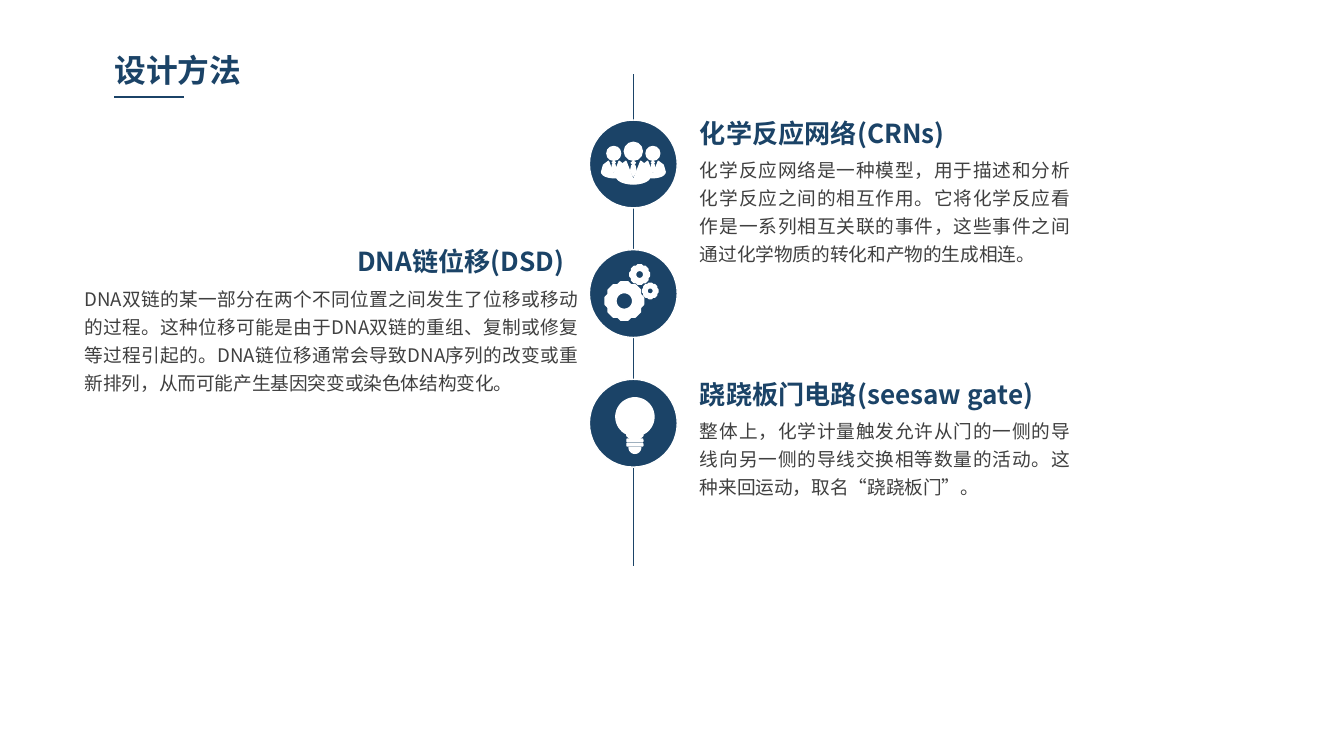
"""Build the design methods slide: three topics along a vertical axis with icons."""
from math import cos, pi, sin

from lxml import etree
from pptx import Presentation
from pptx.dml.color import RGBColor
from pptx.enum.shapes import MSO_CONNECTOR, MSO_SHAPE
from pptx.enum.text import MSO_AUTO_SIZE, PP_ALIGN
from pptx.oxml.ns import qn
from pptx.util import Cm, Pt

STRAIGHT = MSO_CONNECTOR.STRAIGHT
OVAL = MSO_SHAPE.OVAL
ROUNDED = MSO_SHAPE.ROUNDED_RECTANGLE
LEFT, RIGHT, JUSTIFY = PP_ALIGN.LEFT, PP_ALIGN.RIGHT, PP_ALIGN.JUSTIFY
FIT = MSO_AUTO_SIZE.SHAPE_TO_FIT_TEXT
FONT = "Noto Sans CJK SC"
COLORS = {"navy": "1B4367", "white": "FFFFFF", "body": "404040"}

prs = Presentation()
prs.slide_width, prs.slide_height = Cm(25.4), Cm(14.29)
slide = prs.slides.add_slide(prs.slide_layouts[6])
shapes = slide.shapes


def paint(shape, fill="white", line_width=0.75):
    """Fill a shape and give it a white edge."""
    shape.shadow.inherit = False
    shape.fill.solid()
    shape.fill.fore_color.rgb = RGBColor.from_string(COLORS[fill])
    shape.line.color.rgb = RGBColor.from_string(COLORS["white"])
    shape.line.width = Pt(line_width)


def draw_outline(x, y, contours, line_width=0.75):
    """Draw closed contours, given in cm around the point x, y."""
    builder = None
    for contour in contours:
        points = [(Cm(x + dx), Cm(y + dy)) for dx, dy in contour]
        if builder is None:
            builder = shapes.build_freeform(*points[0], scale=1.0)
        else:
            builder.move_to(*points[0])
        builder.add_line_segments(points[1:], close=True)
    paint(builder.convert_to_shape(), line_width=line_width)


axis_x = 11.97
rules = [(axis_x, 1.4, axis_x, 10.69), (2.16, 1.83, 3.48, 1.83)]
for x1, y1, x2, y2 in rules:
    rule = shapes.add_connector(STRAIGHT, Cm(x1), Cm(y1), Cm(x2), Cm(y2))
    rule.line.color.rgb = RGBColor.from_string(COLORS["navy"])
    rule.line.width = Pt(0.75)
    etree.SubElement(rule._element.spPr, qn("a:effectLst"))

disc_size = 1.66
for row in range(3):
    disc_y = 3.1 + row * 2.45
    disc = shapes.add_shape(OVAL, Cm(axis_x - disc_size / 2), Cm(disc_y - disc_size / 2),
                            Cm(disc_size), Cm(disc_size))
    paint(disc, "navy")

hem = [(0.32 * cos(i * pi / 12), 0.28 + 0.15 * sin(i * pi / 12)) for i in range(13)]
jacket = [(0.14, 0), (0.27, 0.1), *hem, (-0.27, 0.1), (-0.14, 0), (0, 0.36)]
knot = [(0, 0), (0.04, 0.03), (0, 0.05), (-0.04, 0.03)]
tie = [(0.03, 0.08), (0, 0.05), (-0.03, 0.08), (-0.05, 0.18), (0, 0.28), (0.05, 0.18)]
people = [(0, 1, 2.86, 0.34), (-0.37, 0.72, 2.9, 0.26), (0.37, 0.72, 2.9, 0.26)]
for offset, size, head_y, head_size in people:
    head = shapes.add_shape(OVAL, Cm(axis_x + offset - head_size / 2),
                            Cm(head_y - head_size / 2), Cm(head_size), Cm(head_size))
    paint(head)
    for part in (jacket, knot, tie):
        draw_outline(axis_x + offset, 3.05, [[(size * dx, size * dy) for dx, dy in part]])

tooth = [(-0.32, -0.86), (-0.18, -1), (0.18, -1), (0.32, -0.86)]
turns = [i * pi / 4 for i in range(8)]
gear_rim = [(dx * cos(t) - dy * sin(t), dx * sin(t) + dy * cos(t))
            for t in turns for dx, dy in tooth]
gear_hole = [(0.45 * cos(i * pi / 16), -0.45 * sin(i * pi / 16)) for i in range(32)]
for gear_x, gear_y, radius in [(11.8, 5.69, 0.36), (12.09, 5.19, 0.18), (12.29, 5.5, 0.14)]:
    draw_outline(gear_x, gear_y, [[(radius * dx, radius * dy) for dx, dy in contour]
                                  for contour in (gear_rim, gear_hole)], 1)

bulb_x = 12.0
glass_angles = [pi * (0.64 + 1.72 * i / 40) for i in range(41)]
glass = [(0.36 * cos(a), 0.36 * sin(a)) for a in glass_angles]
neck = [(0.15, 0.36), (0.09, 0.41), (-0.09, 0.41), (-0.15, 0.36)]
draw_outline(bulb_x, 7.88, [glass + neck])
for band_y in (8.3, 8.38):
    band = shapes.add_shape(ROUNDED, Cm(bulb_x - 0.15), Cm(band_y), Cm(0.3), Cm(0.05))
    paint(band)
draw_outline(bulb_x, 8.46, [[(0.11 * cos(i * pi / 12), 0.11 * sin(i * pi / 12))
                             for i in range(13)]])

texts = [
    (1.98, 0.86, 6.27, 0.91, "设计方法", 17, LEFT),
    (12.98, 2.16, 7.09, 0.79, "化学反应网络(CRNs)", 14, LEFT),
    (12.98, 2.77, 7.49, 2.34,
     "化学反应网络是一种模型，用于描述和分析化学反应之间的相互作用。它将化学反应看作是一系列"
     "相互关联的事件，这些事件之间通过化学物质的转化和产物的生成相连。", 10, JUSTIFY),
    (5.79, 4.57, 5.13, 0.79, "DNA链位移(DSD)", 14, RIGHT),
    (1.35, 5.21, 9.83, 2.34,
     "DNA双链的某一部分在两个不同位置之间发生了位移或移动的过程。这种位移可能是由于DNA双链的"
     "重组、复制或修复等过程引起的。DNA链位移通常会导致DNA序列的改变或重新排列，"
     "从而可能产生基因突变或染色体结构变化。", 10, JUSTIFY),
    (12.98, 7.09, 9.14, 0.79, "跷跷板门电路(seesaw gate)", 14, LEFT),
    (12.98, 7.7, 7.49, 1.8,
     "整体上，化学计量触发允许从门的一侧的导线向另一侧的导线交换相等数量的活动。"
     "这种来回运动，取名“跷跷板门”。", 10, JUSTIFY),
]
for left, top, width, height, wording, size, align in texts:
    frame = shapes.add_textbox(Cm(left), Cm(top), Cm(width), Cm(height)).text_frame
    frame.word_wrap = True
    frame.auto_size = FIT
    frame.text = wording
    paragraph = frame.paragraphs[0]
    paragraph.alignment = align
    if size == 17:
        frame.margin_left = frame.margin_right = Cm(0.18)
        frame.margin_top = frame.margin_bottom = Cm(0.1)
    else:
        paragraph.line_spacing = Pt(15)
    run = paragraph.runs[0]
    run.font.size = Pt(size)
    run.font.bold = size > 10
    run.font.color.rgb = RGBColor.from_string(COLORS["navy" if size > 10 else "body"])
    run.font.name = FONT
    etree.SubElement(run._r.get_or_add_rPr(), qn("a:ea"), typeface=FONT)

prs.save("out.pptx")
